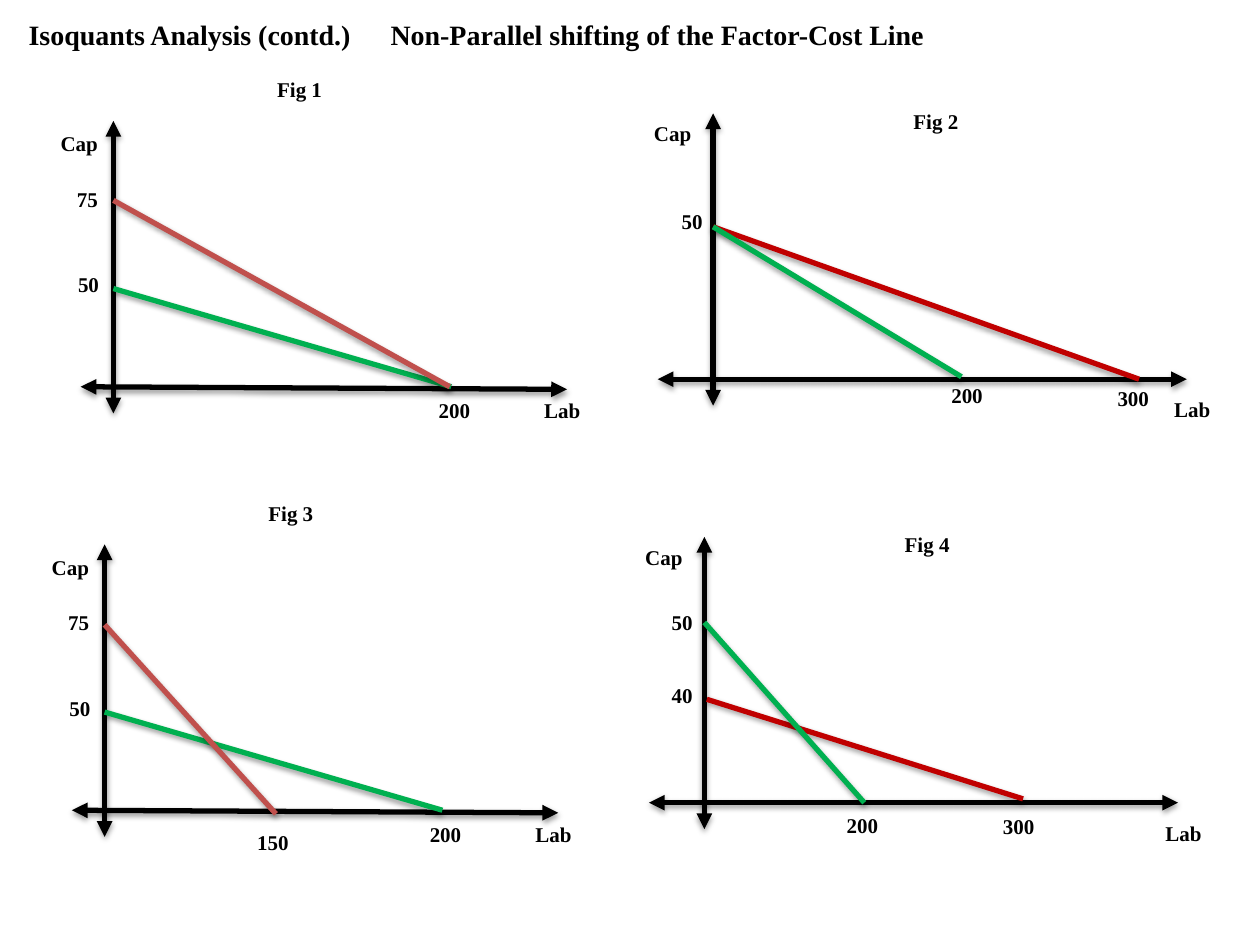
from dataclasses import dataclass

from lxml.etree import SubElement
from pptx import Presentation
from pptx.dml.color import RGBColor
from pptx.enum.shapes import MSO_CONNECTOR as Connector
from pptx.enum.text import MSO_ANCHOR as Anchor, MSO_AUTO_SIZE as AutoSize, PP_ALIGN as Align
from pptx.oxml import parse_xml
from pptx.oxml.ns import nsdecls, qn
from pptx.util import Pt


@dataclass(frozen=True)
class Theme:
    ink: RGBColor = RGBColor.from_string("000000")
    green: RGBColor = RGBColor.from_string("00B050")
    rose: RGBColor = RGBColor.from_string("C0504D")
    red: RGBColor = RGBColor.from_string("C00000")
    font: str = "Times New Roman"
    heading: int = 16
    label: int = 12
    stroke: int = 3
    inset: float = 3.6


theme = Theme()
SHADOW = f"""<a:effectLst {nsdecls("a")}>
  <a:outerShdw blurRad="{Pt(3.15)}" dist="{Pt(1.57)}" dir="5400000" rotWithShape="0">
    <a:srgbClr val="{theme.ink}"><a:alpha val="38000"/></a:srgbClr>
  </a:outerShdw>
</a:effectLst>"""
HEADING_FRAME = {"vertical_anchor": Anchor.MIDDLE, "auto_size": AutoSize.NONE}
LABEL_FRAME = {"vertical_anchor": Anchor.TOP, "auto_size": AutoSize.SHAPE_TO_FIT_TEXT}


def add_text(shapes, text, left, top, width, height=21.6, size=theme.label,
             align=Align.LEFT, frame_format=LABEL_FRAME):
    box = shapes.add_textbox(Pt(left), Pt(top), Pt(width), Pt(height))
    frame = box.text_frame
    margins = {f"margin_{side}": Pt(theme.inset) for side in ("left", "top", "right", "bottom")}
    for name, value in {"word_wrap": True, **margins, **frame_format}.items():
        setattr(frame, name, value)
    paragraph = frame.paragraphs[0]
    paragraph.alignment = align
    run = paragraph.add_run()
    run.text = text
    for name, value in {"name": theme.font, "size": Pt(size), "bold": True}.items():
        setattr(run.font, name, value)
    run.font.color.rgb = theme.ink


def add_line(shapes, start, end, color, arrows=False):
    """Draw a shadowed line, with a triangle at both ends if arrows is set."""
    line = shapes.add_connector(Connector.STRAIGHT, *(Pt(v) for v in (*start, *end)))
    line.line.color.rgb = color
    line.line.width = Pt(theme.stroke)
    if arrows:
        for end_tag in ("a:headEnd", "a:tailEnd"):
            SubElement(line.line._ln, qn(end_tag), type="triangle")
    line._element.spPr.append(parse_xml(SHADOW))


# Each column of figures shares its axes and titles; the lower row is the upper one shifted.
left_column = {
    "axes": [((64.8, 69.1), (64.8, 236.2)), ((324, 222.5), (46.1, 221))],
    "titles": [("Lab", 307.4, 223.9, 33.8), ("Cap", 31, 71.3, 33.8)],
    "caption": (154.8, 40.3, 33.8),
}
right_column = {
    "axes": [((407.5, 64.8), (407.5, 231.8)), ((678.2, 216.7), (375.8, 216.7))],
    "titles": [("Lab", 667.4, 223.2, 36), ("Cap", 370.1, 65.5, 37.4)],
    "caption": (518.4, 58.3, 33.8),
}
upper_row, lower_row = (0, 0), (-5, 242)

figures = [
    ("Fig 1", left_column, upper_row,
     [((64.8, 164.9), (257.8, 221), theme.green), ((64.8, 114.5), (257, 221), theme.rose)],
     [("200", 247, 223.9, 42.5), ("50", 41, 151.9, 20.2), ("75", 40.3, 103, 20.2)]),
    ("Fig 2", right_column, upper_row,
     [((407.5, 129.6), (650.9, 216.7), theme.red), ((407.5, 129.6), (549.4, 215.3), theme.green)],
     [("300", 635, 216.7, 32.4), ("50", 385.9, 115.9, 26), ("200", 540, 215.3, 28.1)]),
    ("Fig 3", left_column, lower_row,
     [((64.8, 164.9), (257.8, 221), theme.green), ((64.8, 115), (162.7, 223.1), theme.rose)],
     [("200", 247, 223.9, 26), ("50", 41, 151.9, 20.2), ("75", 40.3, 103, 20.2),
      ("150", 148.3, 228.2, 26)]),
    ("Fig 4", right_column, lower_row,
     [((408.9, 157.6), (589.6, 214.5), theme.red), ((407.5, 113.7), (498.9, 216.7), theme.green)],
     [("300", 574.5, 219.5, 32.4), ("50", 385.2, 102.9, 26), ("200", 485.2, 218.8, 36),
      ("40", 385.2, 144.6, 26)]),
]

deck = Presentation()
deck.slide_width, deck.slide_height = Pt(720), Pt(540)
slide = deck.slides.add_slide(deck.slide_layouts[6])

for heading, left, width, align in [
    ("Isoquants Analysis (contd.)", 4.3, 208.1, Align.CENTER),
    ("Non-Parallel shifting of the Factor-Cost Line", 219.6, 478.8, Align.JUSTIFY),
]:
    add_text(slide.shapes, heading, left, 4.3, width, 31, theme.heading, align, HEADING_FRAME)

for caption, column, (dx, dy), cost_lines, values in figures:
    figure = slide.shapes.add_group_shape().shapes
    axes = [(start, end, theme.ink, True) for start, end in column["axes"]]
    for (x1, y1), (x2, y2), *look in axes + cost_lines:
        add_line(figure, (x1 + dx, y1 + dy), (x2 + dx, y2 + dy), *look)
    for text, left, top, width in column["titles"] + values + [(caption, *column["caption"])]:
        add_text(figure, text, left + dx, top + dy, width)

deck.save("out.pptx")
